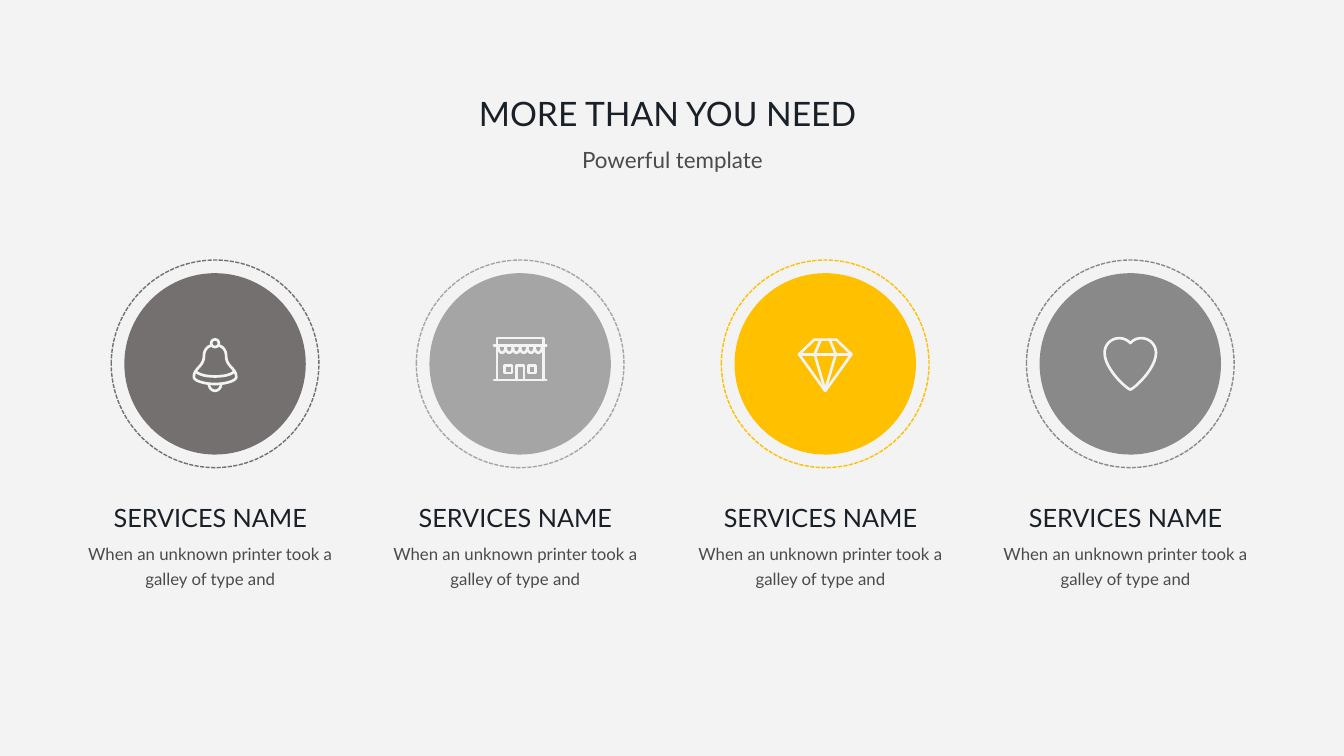
from dataclasses import dataclass
from pptx import Presentation
from pptx.dml.color import RGBColor
from pptx.enum.dml import MSO_LINE
from pptx.enum.shapes import MSO_SHAPE
from pptx.enum.text import MSO_ANCHOR, MSO_AUTO_SIZE, PP_ALIGN
from pptx.oxml.ns import qn
from pptx.util import Inches, Pt


@dataclass
class Theme:
    font: str = "Lato"
    paper: str = "F3F3F3"
    dark: str = "1A2028"
    soft: str = "4B4B4B"
    discs: tuple = ("757070", "A5A5A5", "FFC000", "898989")
    title: int = 24
    name: int = 18
    sub: int = 16
    body: int = 12
    ring: float = 1
    stroke: float = 1.9


theme = Theme()
deck = Presentation()
deck.slide_width, deck.slide_height = Inches(13.33), Inches(7.5)
col, row = deck.slide_width / 100, deck.slide_height / 100
slide = deck.slides.add_slide(deck.slide_layouts[5])
slide.background.fill.solid()
slide.background.fill.fore_color.rgb = RGBColor.from_string(theme.paper)


def text(words, box, size, color, align=PP_ALIGN.CENTER, wrap=False, lead=1.0, shape=None):
    """Set words in a box of left, top, width, height in columns and rows."""
    left, top, wide, high = box
    shape = shape or slide.shapes.add_textbox(0, 0, 0, 0)
    shape.left, shape.top = int(left * col), int(top * row)
    shape.width, shape.height = int(wide * col), int(high * row)
    frame = shape.text_frame
    frame.margin_left = frame.margin_right = frame.margin_top = frame.margin_bottom = 0
    frame.vertical_anchor = MSO_ANCHOR.TOP
    frame.word_wrap = wrap
    frame.auto_size = MSO_AUTO_SIZE.NONE if wrap else MSO_AUTO_SIZE.SHAPE_TO_FIT_TEXT
    para = frame.paragraphs[0]
    para.alignment, para.line_spacing = align, lead
    run = para.add_run()
    run.text = words
    run.font.name, run.font.size = theme.font, Pt(size)
    run.font.color.rgb = RGBColor.from_string(color)


def curve(*knots):
    """Sample a chain of cubic Bezier curves: a start, then three points each."""
    dots = [knots[0]]
    for k in range(0, len(knots) - 1, 3):
        for t in (n / 12 for n in range(1, 13)):
            mix = ((1 - t) ** 3, 3 * t * (1 - t) ** 2, 3 * t * t * (1 - t), t ** 3)
            dots.append(tuple(sum(m * p[axis] for m, p in zip(mix, knots[k:k + 4]))
                              for axis in (0, 1)))
    return dots


text("MORE THAN YOU NEED", (35.63, 12.27, 28.8, 5.33), theme.title, theme.dark,
     align=PP_ALIGN.LEFT, shape=slide.shapes.title)
text("Powerful template", (43.06, 19.33, 13.95, 3.6), theme.sub, theme.soft)

# Left halves of the icons, in hundredths of an inch from the disc centre
bell = [
    curve((0, -24.2), (-5, -24.2), (-5, -16.7), (0, -16.7)),
    curve((-4, -18), (-8.5, -17), (-11, -12.5), (-11, -8),
          (-11, 3), (-21, 4), (-21, 13), (-21, 17), (-10, 20), (0, 20)),
    curve((-19, 7.5), (-16, 11), (-8, 12.5), (0, 12.5)),
    curve((-6, 20), (-6, 24), (-3, 26.7), (0, 26.7)),
]
shop = [
    [(0, -25.5), (-23, -25.5), (-23, 16)],
    [(0, -18), (-26, -18)],
    [(0, 16), (-26, 16)],
    [(0, 1.5), (-3.7, 1.5), (-3.7, 16)],
    [(-15.5, 1.5), (-8, 1.5), (-8, 9), (-15.5, 9), (-15.5, 1.5)],
]
scallop = 7.2
for k in range(3):
    near, far = -scallop * k, -scallop * (k + 1)
    shop.append(curve((near, -17), (near, -9), (far, -9), (far, -17)))
gem = [
    [(0, -24), (-11, -24), (-26, -9.5), (0, 27)],
    [(0, -9.5), (-26, -9.5)],
    [(-4.5, -24), (-10.5, -9.5), (0, 26)],
]
heart = [
    curve((0, -20.5), (-3, -24), (-7, -25.5), (-11, -25.5),
          (-19, -25.5), (-25.5, -19), (-25.5, -11),
          (-25.5, 5), (-4, 24.5), (0, 25.5)),
]

first, last, mid = 16 * col, 84.1 * col, 48.13 * row
unit = Inches(0.01)
for i, (icon, color) in enumerate(zip((bell, shop, gem, heart), theme.discs)):
    x = first + (last - first) * i / 3
    for size in (13.5 * col, 15.45 * col):
        disc = slide.shapes.add_shape(MSO_SHAPE.OVAL, int(x - size / 2),
                                      int(mid - size / 2), int(size), int(size))
        disc.shadow.inherit = False
        if size < 14 * col:
            disc.fill.solid()
            disc.fill.fore_color.rgb = RGBColor.from_string(color)
            disc.line.fill.background()
        else:
            disc.fill.background()
            disc.line.color.rgb = RGBColor.from_string(color)
            disc.line.width = Pt(theme.ring)
            disc.line.dash_style = MSO_LINE.SQUARE_DOT

    pen = slide.shapes.build_freeform(0, 0)
    for side in (1, -1):
        for half in icon:
            dots = [(side * a * unit, b * unit) for a, b in half]
            pen.move_to(*dots[0])
            pen.add_line_segments(dots[1:], close=False)
    mark = pen.convert_to_shape(int(x), int(mid))
    mark.shadow.inherit = False
    mark.fill.background()
    mark.line.color.rgb = RGBColor.from_string(theme.paper)
    mark.line.width = Pt(theme.stroke)
    mark.element.spPr.find(qn("a:ln")).set("cap", "rnd")

    axis = x / col - 0.35
    text("SERVICES NAME", (axis - 7.35, 66.4, 14.7, 4), theme.name, theme.dark)
    text("When an unknown printer took a galley of type and",
         (axis - 9.23, 71.2, 18.45, 7.33), theme.body, theme.soft, wrap=True, lead=1.25)

deck.save("out.pptx")
